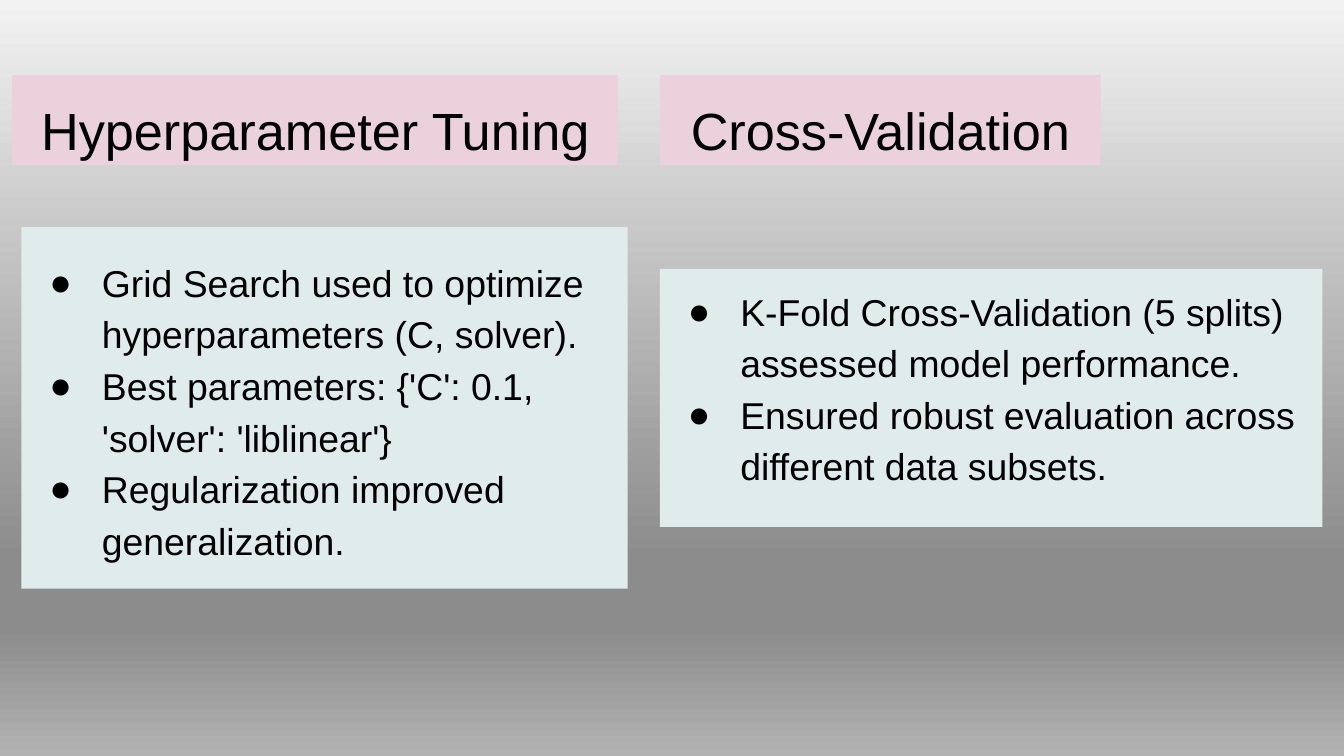
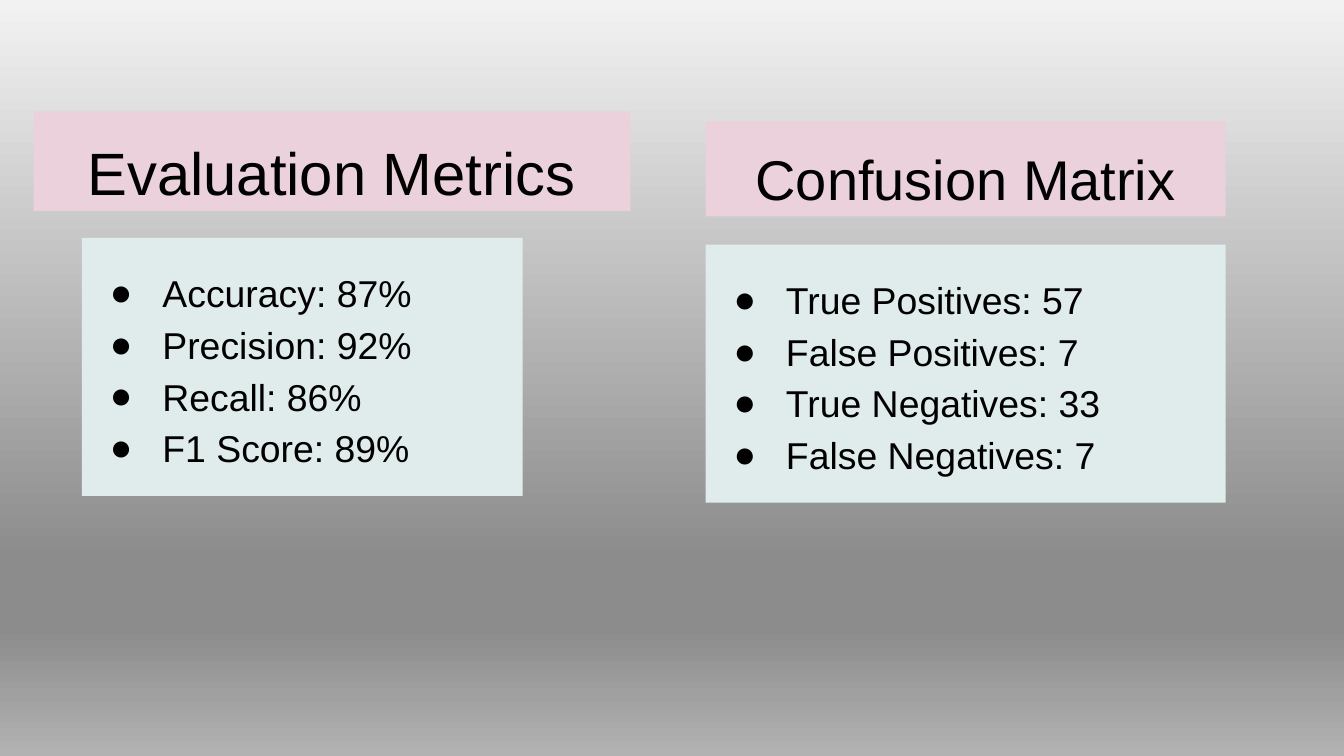
"""Build two slides that summarise model tuning and evaluation."""
from dataclasses import dataclass

import lxml.etree
import pptx
import pptx.dml.color
import pptx.enum.shapes
import pptx.enum.text
import pptx.oxml.ns
import pptx.util


@dataclass(frozen=True)
class Theme:
    font: str = "Arial"
    text: str = "000000"
    heading_fill: str = "EAD1DB"
    panel_fill: str = "E0EBEB"
    backdrop: tuple = ((0, "F2F2F2"), (74, "8C8C8C"), (83, "8C8C8C"), (100, "B2B2B2"))
    body_size: int = 20
    line_spacing: float = 1.15
    space_before: int = 12


theme = Theme()
qn = pptx.oxml.ns.qn
TOP = pptx.enum.text.MSO_ANCHOR.TOP
MIDDLE = pptx.enum.text.MSO_ANCHOR.MIDDLE

presentation = pptx.Presentation()
presentation.slide_width = pptx.util.Inches(10)
presentation.slide_height = presentation.slide_width * 9 // 16
COLUMNS = 100
cell = presentation.slide_width // COLUMNS

master = presentation.slide_master
master.background.fill.gradient()
gradient = master.element.find(".//" + qn("p:bgPr")).find(qn("a:gradFill"))
for child in list(gradient):
    gradient.remove(child)
stops = lxml.etree.SubElement(gradient, qn("a:gsLst"))
for position, color in theme.backdrop:
    stop = lxml.etree.SubElement(stops, qn("a:gs"), pos=str(position * 1000))
    lxml.etree.SubElement(stop, qn("a:srgbClr"), val=color)
lxml.etree.SubElement(gradient, qn("a:lin"), ang=str(90 * 60000), scaled="0")


def add_box(slide, grid_box, fill, lines, size, anchor):
    """Add a filled rectangle placed in grid cells and return its paragraphs."""
    left, top, width, height = (round(cells * cell) for cells in grid_box)
    shape = slide.shapes.add_shape(
        pptx.enum.shapes.MSO_SHAPE.RECTANGLE, left, top, width, height)
    shape.shadow.inherit = False
    shape.fill.solid()
    shape.fill.fore_color.rgb = pptx.dml.color.RGBColor.from_string(fill)
    shape.line.fill.background()
    frame = shape.text_frame
    frame.text = "\n".join(lines)
    frame.word_wrap = True
    frame.auto_size = pptx.enum.text.MSO_AUTO_SIZE.SHAPE_TO_FIT_TEXT
    frame.vertical_anchor = anchor
    frame.margin_left = frame.margin_right = cell
    frame.margin_top = frame.margin_bottom = cell
    for paragraph in frame.paragraphs:
        paragraph.line_spacing = theme.line_spacing
        paragraph.alignment = pptx.enum.text.PP_ALIGN.LEFT
        font = paragraph.runs[0].font
        font.name = theme.font
        font.size = pptx.util.Pt(size)
        font.color.rgb = pptx.dml.color.RGBColor.from_string(theme.text)
    return frame.paragraphs


def add_bullet(paragraph):
    """Give a paragraph a round bullet with a hanging indent."""
    properties = paragraph._p.get_or_add_pPr()
    properties.set("marL", str(5 * cell))
    properties.set("indent", str(round(-3.9 * cell)))
    bullet_color = lxml.etree.SubElement(properties, qn("a:buClr"))
    lxml.etree.SubElement(bullet_color, qn("a:srgbClr"), val=theme.text)
    lxml.etree.SubElement(properties, qn("a:buFont"), typeface=theme.font)
    lxml.etree.SubElement(properties, qn("a:buChar"), char="●")


slides = [
    [
        ("Hyperparameter Tuning", 28, (0.9, 5.6, 45.1, 6.7), (1.6, 16.9, 45.1, 26.9), MIDDLE,
         ["Grid Search used to optimize hyperparameters (C, solver).",
          "Best parameters: {'C': 0.1, 'solver': 'liblinear'}",
          "Regularization improved generalization."]),
        ("Cross-Validation", 28, (49.1, 5.6, 32.8, 6.7), (49.1, 20, 49.3, 19.2), TOP,
         ["K-Fold Cross-Validation (5 splits) assessed model performance.",
          "Ensured robust evaluation across different data subsets."]),
    ],
    [
        ("Evaluation Metrics", 32, (2.5, 8.3, 44.4, 7.4), (6.1, 17.7, 32.8, 19.2), MIDDLE,
         ["Accuracy: 87%", "Precision: 92%", "Recall: 86%", "F1 Score: 89%"]),
        ("Confusion Matrix", 30, (52.5, 9, 38.7, 7.1), (52.5, 18.2, 38.7, 19.2), MIDDLE,
         ["True Positives: 57", "False Positives: 7",
          "True Negatives: 33", "False Negatives: 7"]),
    ],
]

for topics in slides:
    slide = presentation.slides.add_slide(presentation.slide_layouts[6])
    for heading, heading_size, heading_box, panel_box, anchor, points in topics:
        title = add_box(slide, heading_box, theme.heading_fill, [heading], heading_size, TOP)
        title[0].alignment = pptx.enum.text.PP_ALIGN.CENTER
        bullets = add_box(slide, panel_box, theme.panel_fill, points, theme.body_size, anchor)
        bullets[0].space_before = pptx.util.Pt(theme.space_before)
        for paragraph in bullets:
            add_bullet(paragraph)

presentation.save("out.pptx")
